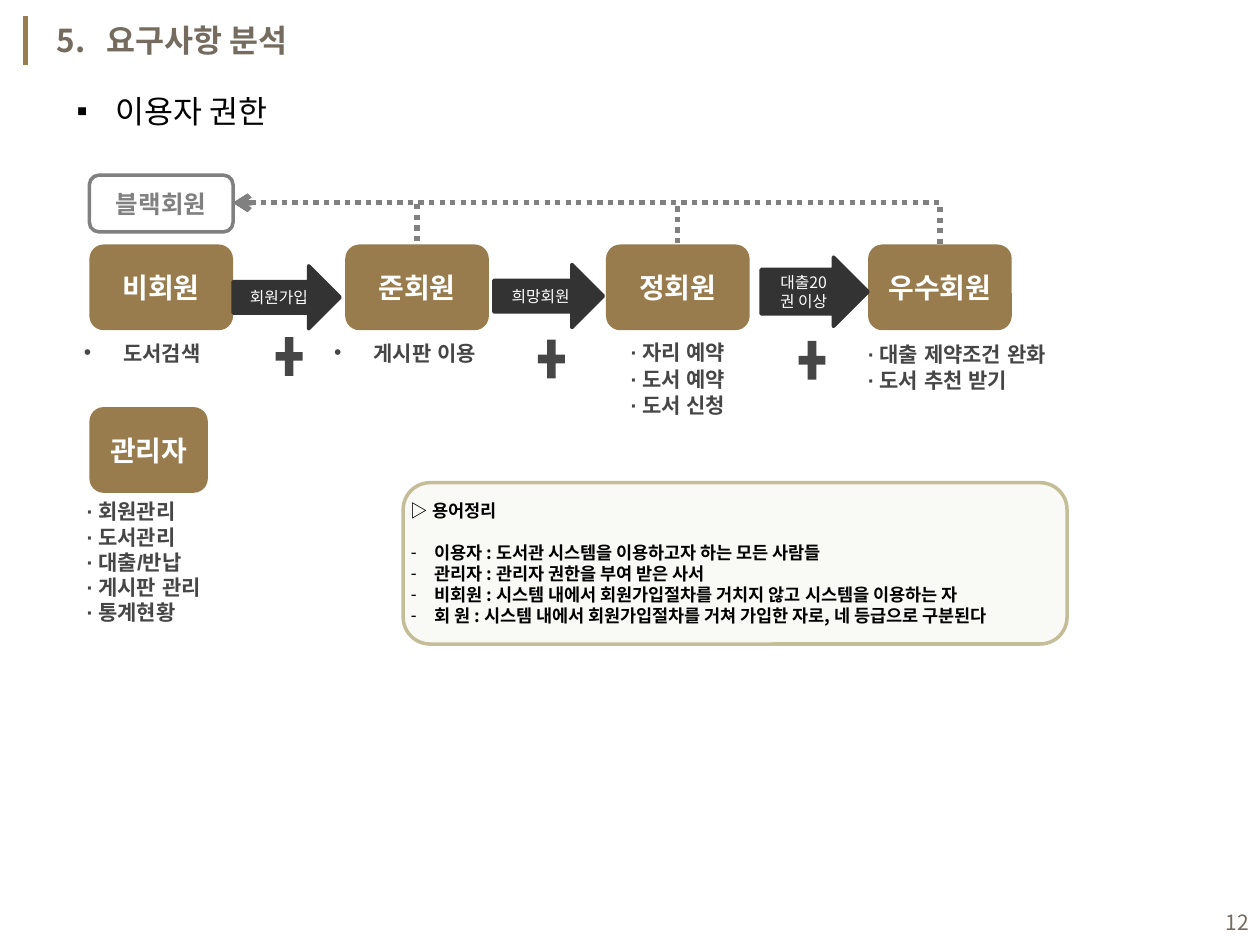
from lxml import etree
from pptx import Presentation
from pptx.dml.color import RGBColor
from pptx.enum.dml import MSO_LINE_DASH_STYLE as Dash
from pptx.enum.shapes import MSO_CONNECTOR as Conn, MSO_SHAPE as Shape
from pptx.enum.text import MSO_ANCHOR as Anchor, MSO_AUTO_SIZE as AutoSize, PP_ALIGN as Align
from pptx.oxml.ns import qn
from pptx.util import Pt

GOLD = RGBColor(0x98, 0x7C, 0x4D)
TAUPE = RGBColor(0x75, 0x6B, 0x5F)
CHARCOAL = RGBColor(0x33, 0x33, 0x33)
DARK = RGBColor(0x46, 0x46, 0x46)
GRAY = RGBColor(0x80, 0x80, 0x80)
CREAM = RGBColor(0xEE, 0xEC, 0xE1)
SAND = RGBColor(0xC4, 0xBD, 0x97)
WHITE = RGBColor(0xFF, 0xFF, 0xFF)
BLACK = RGBColor(0, 0, 0)
SANS, LIST_FONT = "Noto Sans CJK KR", "Arial"

MEMBER_TOP, MEMBER_W, MEMBER_H = 139.7, 82.1, 49


def style_run(run, size, color, bold=False, font=SANS):
    run.font.size, run.font.bold, run.font.name = Pt(size), bold, font
    run.font.color.rgb = color
    etree.SubElement(run.font._element, qn("a:ea"), typeface=font)


def add_bullet(paragraph, char, hang):
    props = paragraph._p.get_or_add_pPr()
    props.set("marL", str(Pt(hang)))
    props.set("indent", str(Pt(-hang)))
    etree.SubElement(props, qn("a:buFont"), typeface="Arial")
    etree.SubElement(props, qn("a:buChar"), char=char)


def write(frame, lines, size, color, bold=False, font=SANS, align=Align.LEFT, spacing=None):
    frame.text = "\n".join(lines)
    for paragraph in frame.paragraphs:
        paragraph.alignment = align
        if spacing:
            paragraph.line_spacing = Pt(spacing)
        for run in paragraph.runs:
            style_run(run, size, color, bold, font)


def add_shape(slide, kind, box, fill=None, line=None):
    shape = slide.shapes.add_shape(kind, *map(Pt, box))
    shape.shadow.inherit = False
    if fill is None:
        shape.fill.background()
    else:
        shape.fill.solid()
        shape.fill.fore_color.rgb = fill
    if line is None:
        shape.line.fill.background()
    else:
        shape.line.color.rgb, shape.line.width = line, Pt(2)
    shape.text_frame.vertical_anchor = Anchor.MIDDLE
    return shape


def add_text(slide, box, lines, size, color, wrap=True, **style):
    frame = slide.shapes.add_textbox(*map(Pt, box)).text_frame
    frame.word_wrap = wrap
    frame.auto_size = AutoSize.SHAPE_TO_FIT_TEXT
    write(frame, lines, size, color, **style)
    return frame


def add_line(slide, kind, start, end, color):
    line = slide.shapes.add_connector(kind, *map(Pt, start + end))
    line.line.color.rgb, line.line.width = color, Pt(3)
    etree.SubElement(line._element.spPr, qn("a:effectLst"))
    return line


def add_role(slide, name, left, top, width):
    role = add_shape(slide, Shape.ROUNDED_RECTANGLE, (left, top, width, MEMBER_H), GOLD)
    write(role.text_frame, [name], 16, WHITE, bold=True, align=Align.CENTER)


def add_step(slide, label, box):
    step = add_shape(slide, Shape.RIGHT_ARROW, box, CHARCOAL, CHARCOAL)
    write(step.text_frame, [label], 9, WHITE, align=Align.CENTER)
    return step


def add_rights(slide, box, rights, **style):
    return add_text(slide, box, rights, 12, DARK, bold=True, font=LIST_FONT, **style)


def add_blacklist_route(slide, source_x):
    route = add_line(slide, Conn.ELBOW, (133.2, 115.9), (source_x, MEMBER_TOP), GRAY)
    route.line.dash_style = Dash.ROUND_DOT  # sysDot
    route._element.spPr.find(qn("a:prstGeom")).set("prst", "bentConnector2")
    etree.SubElement(route.line._get_or_add_ln(), qn("a:headEnd"), type="arrow")


def add_page_number(slide):
    page = add_text(slide, (553, 512.6, 167.8, 28.8), ["12"], 12, TAUPE, align=Align.RIGHT)
    page.auto_size = AutoSize.NONE
    page.vertical_anchor = Anchor.MIDDLE


def add_headings(slide):
    add_line(slide, Conn.STRAIGHT, (14.4, 9.4), (14.4, 37.4), GOLD)
    title = add_text(slide, (25.2, 8.6, 175.7, 28.8), ["5.\t요구사항 분석"], 18, TAUPE, bold=True)
    tabs = etree.SubElement(title.paragraphs[0]._p.get_or_add_pPr(), qn("a:tabLst"))
    etree.SubElement(tabs, qn("a:tab"), pos=str(Pt(28.8)), algn="l")
    topic = add_text(slide, (36.7, 49, 125.3, 28.8), ["이용자 권한"], 18, BLACK, wrap=False)
    add_bullet(topic.paragraphs[0], "▪", 22.5)


def add_glossary(slide):
    glossary = add_shape(slide, Shape.ROUNDED_RECTANGLE, (230.4, 275.8, 379.4, 92.2), CREAM, SAND)
    tint = glossary._element.spPr.find(qn("a:solidFill"))[0]
    etree.SubElement(tint, qn("a:alpha"), val="30000")
    frame = glossary.text_frame
    frame.margin_left = frame.margin_right = frame.margin_top = frame.margin_bottom = 0
    write(frame, ["▷ 용어정리",
                  "이용자 : 도서관 시스템을 이용하고자 하는 모든 사람들",
                  "관리자 : 관리자 권한을 부여 받은 사서",
                  "비회원 : 시스템 내에서 회원가입절차를 거치지 않고 시스템을 이용하는 자",
                  "회 원 : 시스템 내에서 회원가입절차를 거쳐 가입한 자로, 네 등급으로 구분된다"],
          10, BLACK, bold=True, spacing=12)
    heading, *terms = frame.paragraphs
    heading.space_after = Pt(12)
    for term in terms:
        add_bullet(term, "-", 13.5)


def main():
    prs = Presentation()
    prs.slide_width, prs.slide_height = Pt(720), Pt(540)
    slide = prs.slides.add_slide(prs.slide_layouts[6])
    add_page_number(slide)
    add_headings(slide)

    # Member grades and administrator
    members = {"비회원": 51.1, "준회원": 197.3, "정회원": 346.3, "우수회원": 496.1}
    for name, left in members.items():
        add_role(slide, name, left, MEMBER_TOP, MEMBER_W)
    add_role(slide, "관리자", 51.1, 232.6, 67.7)

    # Rights of each role
    for right, box in [("도서검색", (25.2, 190.8, 112.3, 21.6)),
                       ("게시판 이용", (167, 190.8, 128.9, 21.6))]:
        frame = add_rights(slide, box, [right], align=Align.CENTER)
        add_bullet(frame.paragraphs[0], "•", 22.5)
    add_rights(slide, (326.9, 190.1, 121, 52.6), ["∙ 자리 예약", "∙ 도서 예약", "∙ 도서 신청"],
               align=Align.CENTER, spacing=15)
    add_rights(slide, (488.9, 190.8, 166.3, 36.7), ["∙ 대출 제약조건 완화", "∙ 도서 추천 받기"], spacing=15)
    add_rights(slide, (42.5, 281.5, 112.3, 79.9),
               ["∙ 회원관리", "∙ 도서관리", "∙ 대출/반납", "∙ 게시판 관리", "∙ 통계현황"], spacing=14.4)
    for left, top in [(154.8, 188.6), (304.6, 190.1), (453.6, 190.8)]:
        add_shape(slide, Shape.MATH_PLUS, (left, top, 20.9, 30.2), DARK)

    # Blacklist and the routes into it
    blacklist = add_shape(slide, Shape.ROUNDED_RECTANGLE, (51.1, 100.1, MEMBER_W, 32.4), line=GRAY)
    write(blacklist.text_frame, ["블랙회원"], 14, GRAY, bold=True, align=Align.CENTER)
    for left in list(members.values())[1:]:
        add_blacklist_route(slide, left + MEMBER_W / 2)

    # Promotion steps
    add_step(slide, "회원가입", (133.2, 151.9, 61.2, 36))
    add_step(slide, "희망회원", (282.2, 151.2, 62.6, 36))
    loans = add_step(slide, "대출20권 이상", (434.9, 146.9, 61.2, 39.6))
    loans.adjustments[0] = 0.64

    # Definitions of terms
    add_glossary(slide)
    prs.save("out.pptx")


if __name__ == "__main__":
    main()
